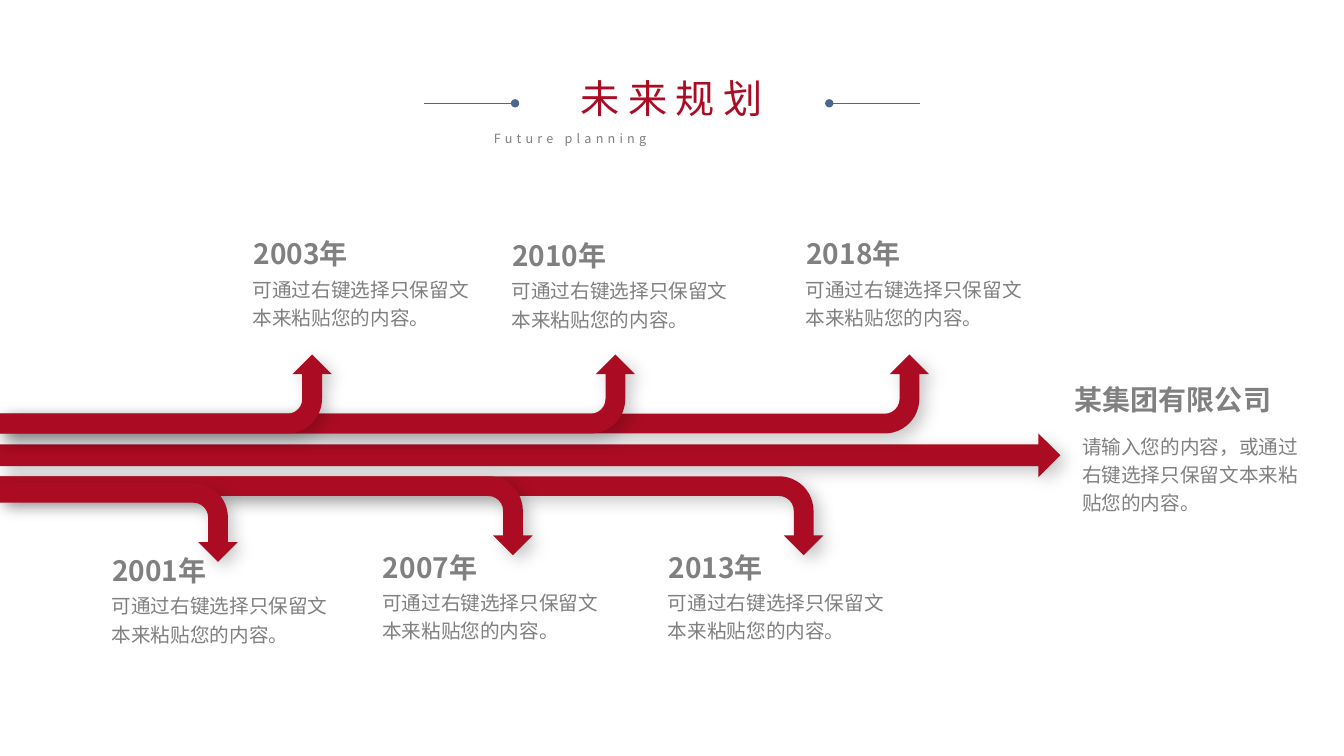
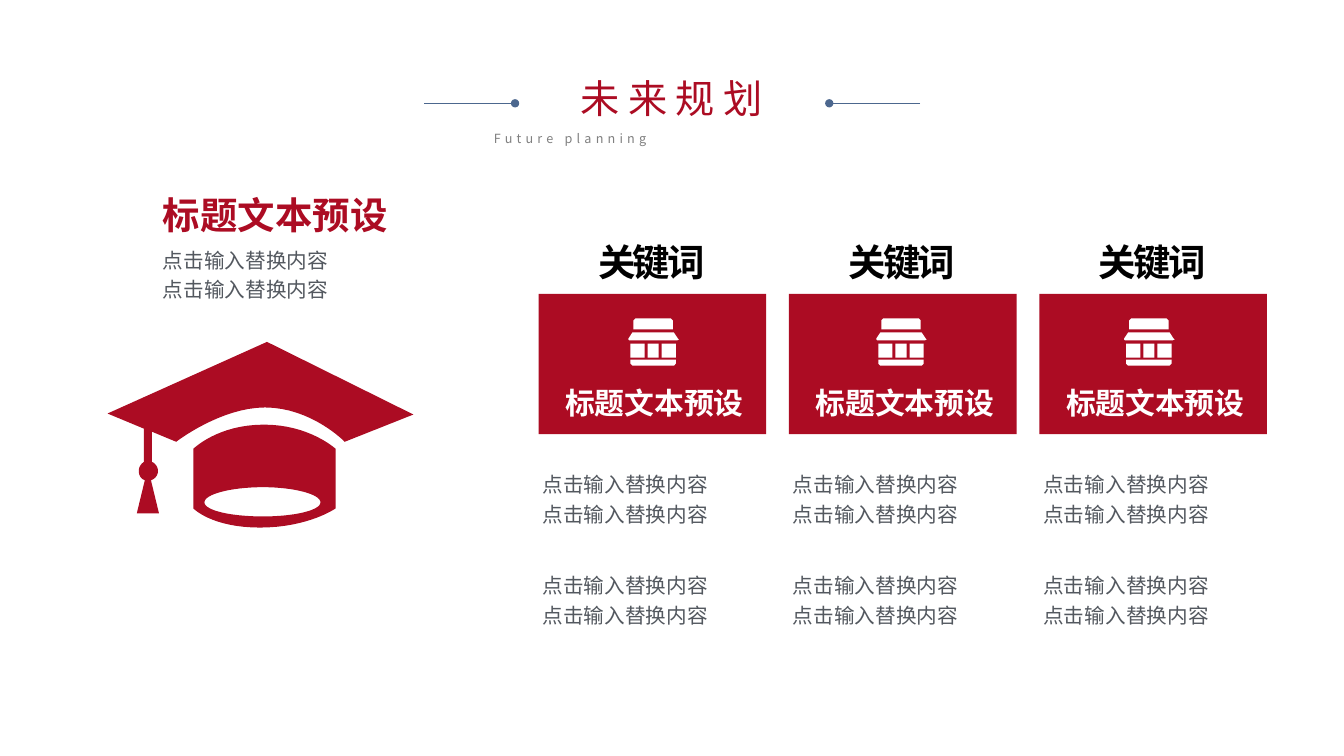
from lxml.etree import SubElement
from pptx import Presentation
from pptx.dml.color import RGBColor
from pptx.enum.shapes import MSO_CONNECTOR, MSO_SHAPE
from pptx.enum.text import MSO_ANCHOR, MSO_AUTO_SIZE, PP_ALIGN
from pptx.oxml.ns import qn
from pptx.util import Inches, Pt

COLUMNS, ROWS = 16, 9
CELL = Inches(7.5) / ROWS
FONT = "Noto Sans CJK SC"
RED, BLUE, GRAY, SLATE = "AC0C23", "4C678E", "808080", "53585F"
BLACK, WHITE = "000000", "FFFFFF"

GROW = {"auto_size": MSO_AUTO_SIZE.SHAPE_TO_FIT_TEXT}
MIDDLE = {"vertical_anchor": MSO_ANCHOR.MIDDLE}
FLUSH = dict.fromkeys(("margin_left", "margin_right", "margin_top", "margin_bottom"), 0)
PADDED = {"margin_left": Inches(0.13), "margin_right": Inches(0.13),
          "margin_top": Inches(0.07), "margin_bottom": Inches(0.07)}
CENTER = {"alignment": PP_ALIGN.CENTER}
LOOSE = {"line_spacing": 1.2}


def make_style(size, color, bold=False, spacing=0, para=None, frame=None):
    return {"font": {"size": Pt(size), "name": FONT, "bold": bold}, "color": color,
            "spacing": spacing, "para": para or {}, "frame": frame or {}}


STYLES = {
    "title": make_style(28, RED, spacing=6, para=CENTER, frame=GROW),
    "subtitle": make_style(9, GRAY, spacing=3, para={"alignment": PP_ALIGN.JUSTIFY}, frame=GROW),
    "year": make_style(20, GRAY, True, frame=GROW),
    "company": make_style(20, GRAY, True, para=CENTER, frame=GROW),
    "description": make_style(14, GRAY, para=LOOSE, frame=GROW),
    "heading": make_style(26.7, RED, True, frame=FLUSH),
    "intro": make_style(14.7, SLATE, para=LOOSE, frame=FLUSH),
    "keyword": make_style(26.7, BLACK, True, -2, CENTER, MIDDLE | PADDED),
    "card title": make_style(21.3, WHITE, True, para=CENTER, frame=MIDDLE),
    "card body": make_style(14.7, SLATE, para=LOOSE, frame=MIDDLE | GROW),
}

MILESTONES = [
    ("2001年", 1.22, 6.53), ("2003年", 2.9, 2.76), ("2007年", 4.44, 6.49),
    ("2010年", 5.98, 2.78), ("2013年", 7.84, 6.49), ("2018年", 9.48, 2.76),
]
BENT_ARROWS = [
    (11.06, 4.22, True), (9.8, 5.67, False), (7.56, 4.22, True),
    (3.95, 4.22, True), (6.34, 5.67, False), (2.83, 5.75, False),
]

JAR = [
    [(2, 41), (47, 41), (47, 45), (45, 47), (4, 47), (2, 45)],
    *[[(left, 25), (right, 25), (right, 39), (left, 39)]
      for left, right in ((33, 47), (19, 30), (2, 16))],
    [(4, 14), (45, 14), (49, 20), (50, 21), (48, 22), (1, 22), (0, 21), (0, 20)],
    [(7, 0), (42, 0), (44, 2), (44, 11), (5, 11), (5, 2)],
]
CAP_BOARD = [
    [(235, 99)], [(235, 99), (202, 65), (156, 65)], [(112, 65), (68, 99), (68, 99)],
    [(44, 89)], [(44, 119)], [(47, 120), (50, 124), (50, 128)],
    [(50, 132), (47, 136), (43, 137)], [(51, 170)], [(29, 170)], [(37, 137)],
    [(33, 136), (31, 132), (31, 128)], [(31, 124), (33, 121), (36, 119)],
    [(36, 86)], [(0, 71)], [(158, 0)], [(303, 72)],
]
CAP_CROWN = [
    [(155, 82)], [(200, 82), (226, 106), (226, 106)], [(226, 165)],
    [(226, 165), (199, 184), (151, 184)], [(103, 184), (85, 165), (85, 165)],
    [(85, 106)], [(85, 106), (109, 82), (155, 82)],
]
CAP_OPENING = [
    [(154, 173)], [(185, 173), (211, 167), (211, 159)], [(211, 151), (185, 144), (154, 144)],
    [(122, 144), (96, 151), (96, 159)], [(96, 167), (122, 173), (154, 173)],
]


def cells(*values):
    return [round(value * CELL) for value in values]


def color_of(value):
    return RGBColor.from_string(value)


def set_all(target, values):
    for name, value in values.items():
        setattr(target, name, value)


def paint(shape, color):
    shape.shadow.inherit = False
    shape.fill.solid()
    shape.fill.fore_color.rgb = color_of(color)
    shape.line.fill.background()


def add_text(page, area, text, style_name):
    style = STYLES[style_name]
    box = page.shapes.add_textbox(*cells(*area))
    frame = box.text_frame
    frame.word_wrap = True
    set_all(frame, style["frame"])
    for index, line in enumerate(text.split("\n")):
        para = frame.add_paragraph() if index else frame.paragraphs[0]
        set_all(para, style["para"])
        span = para.add_run()
        span.text = line
        set_all(span.font, style["font"])
        span.font.color.rgb = color_of(style["color"])
        properties = span._r.get_or_add_rPr()
        SubElement(properties, qn("a:ea"), typeface=FONT)
        if style["spacing"]:
            properties.set("spc", str(style["spacing"] * 100))


def add_shape(page, preset, area, color):
    shape = page.shapes.add_shape(preset, *cells(*area))
    paint(shape, color)
    return shape


def add_soft_shadow(shape):
    effects = shape._element.spPr.find(qn("a:effectLst"))
    shadow = SubElement(effects, qn("a:outerShdw"), blurRad=str(Pt(12)), dist=str(Pt(5)),
                        dir="2700000", algn="tl", rotWithShape="0")
    tint = SubElement(shadow, qn("a:srgbClr"), val=BLACK)
    SubElement(tint, qn("a:alpha"), val="21000")


def add_bent_arrow(page, length, row, upward):
    thickness = 0.94
    shift = (length - thickness) / 2
    arrow = add_shape(page, MSO_SHAPE.BENT_ARROW, (shift, row - shift, thickness, length), RED)
    arrow.rotation = 90
    if upward:
        arrow._element.spPr.find(qn("a:xfrm")).set("flipH", "1")
    add_soft_shadow(arrow)


def add_dotted_line(page, start, end, row):
    line = page.shapes.add_connector(MSO_CONNECTOR.STRAIGHT, *cells(start, row, end, row))
    line.line.width = Pt(0.5)
    line.line.color.rgb = color_of(BLUE)
    SubElement(line.line._get_or_add_ln(), qn("a:tailEnd"), type="oval")
    SubElement(line._element.spPr, qn("a:effectLst"))


def flatten(segments, steps=16):
    points = [segments[0][0]]
    for segment in segments[1:]:
        if len(segment) == 1:
            points += segment
            continue
        curve = [points[-1], *segment]
        for step in range(1, steps + 1):
            t = step / steps
            weights = ((1 - t) ** 3, 3 * t * (1 - t) ** 2, 3 * t * t * (1 - t), t ** 3)
            points.append(tuple(sum(weight * point[axis] for weight, point in zip(weights, curve))
                                for axis in (0, 1)))
    return points


def add_outline(page, column, row, width, units, contours, color):
    unit = width / units
    builder = None
    for contour in contours:
        points = [cells(column + x * unit, row + y * unit) for x, y in contour]
        if builder is None:
            builder = page.shapes.build_freeform(*points[0])
        else:
            builder.move_to(*points[0])
        builder.add_line_segments(points[1:], close=True)
    paint(builder.convert_to_shape(), color)


def add_page(deck):
    page = deck.slides.add_slide(deck.slide_layouts[6])
    add_text(page, (5.76, 1.5, 4.49, 0.3), "Future planning", "subtitle")
    add_text(page, (6.19, 0.82, 3.61, 0.68), "未来规划", "title")
    for start, end in ((5.05, 6.13), (COLUMNS - 5.05, COLUMNS - 6.13)):
        add_dotted_line(page, start, end, 1.23)
    return page


def add_milestone(page, year, column, row):
    add_text(page, (column, row, 1.7, 0.53), year, "year")
    add_text(page, (column - 0.01, row + 0.43, 2.92, 1.14),
             "可通过右键选择只保留文本来粘贴您的内容。", "description")


def add_card(page, column, icon_column):
    lines = "点击输入替换内容\n点击输入替换内容"
    add_shape(page, MSO_SHAPE.RECTANGLE, (column, 3.5, 2.71, 1.67), RED)
    add_text(page, (column, 2.84, 2.69, 0.54), "关键词", "keyword")
    add_text(page, (column + 0.07, 4.55, 2.62, 0.48), "标题文本预设", "card title")
    for row in (5.5, 6.7):
        add_text(page, (column - 0.07, row, 2.83, 0.83), lines, "card body")
    add_outline(page, icon_column, 3.79, 0.6, 50, JAR, WHITE)


def build_timeline(deck):
    page = add_page(deck)
    for milestone in MILESTONES:
        add_milestone(page, *milestone)
    add_text(page, (12.25, 4.5, 3.42, 0.53), "某集团有限公司", "company")
    add_text(page, (12.76, 5.06, 2.92, 1.48),
             "请输入您的内容，或通过右键选择只保留文本来粘贴您的内容。", "description")
    add_soft_shadow(add_shape(page, MSO_SHAPE.RIGHT_ARROW, (0, 5.16, 12.62, 0.52), RED))
    for arrow in BENT_ARROWS:
        add_bent_arrow(page, *arrow)


def build_keywords(deck):
    page = add_page(deck)
    add_text(page, (1.94, 2.89, 3.43, 1.04), "点击输入替换内容\n点击输入替换内容", "intro")
    add_text(page, (1.94, 2.29, 3.43, 0.41), "标题文本预设", "heading")
    for index in range(3):
        add_card(page, 6.41 + 2.98 * index, 7.48 + 2.95 * index)
    cap = [flatten(part) for part in (CAP_BOARD, CAP_CROWN, CAP_OPENING)]
    add_outline(page, 1.28, 4.07, 3.64, 303, cap, RED)


def main():
    deck = Presentation()
    deck.slide_width, deck.slide_height = Inches(13.33), Inches(7.5)
    build_timeline(deck)
    build_keywords(deck)
    deck.save("out.pptx")


if __name__ == "__main__":
    main()
